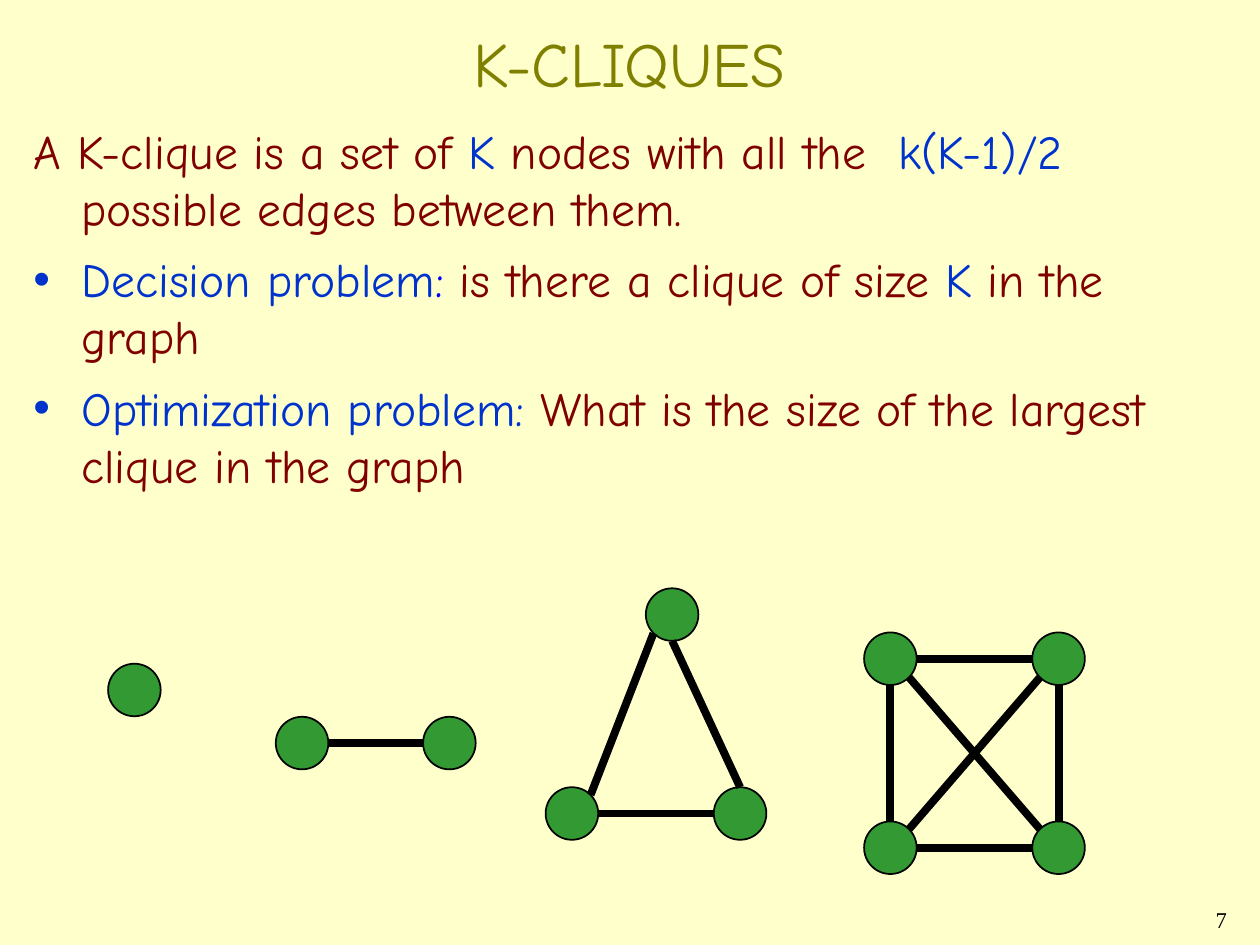
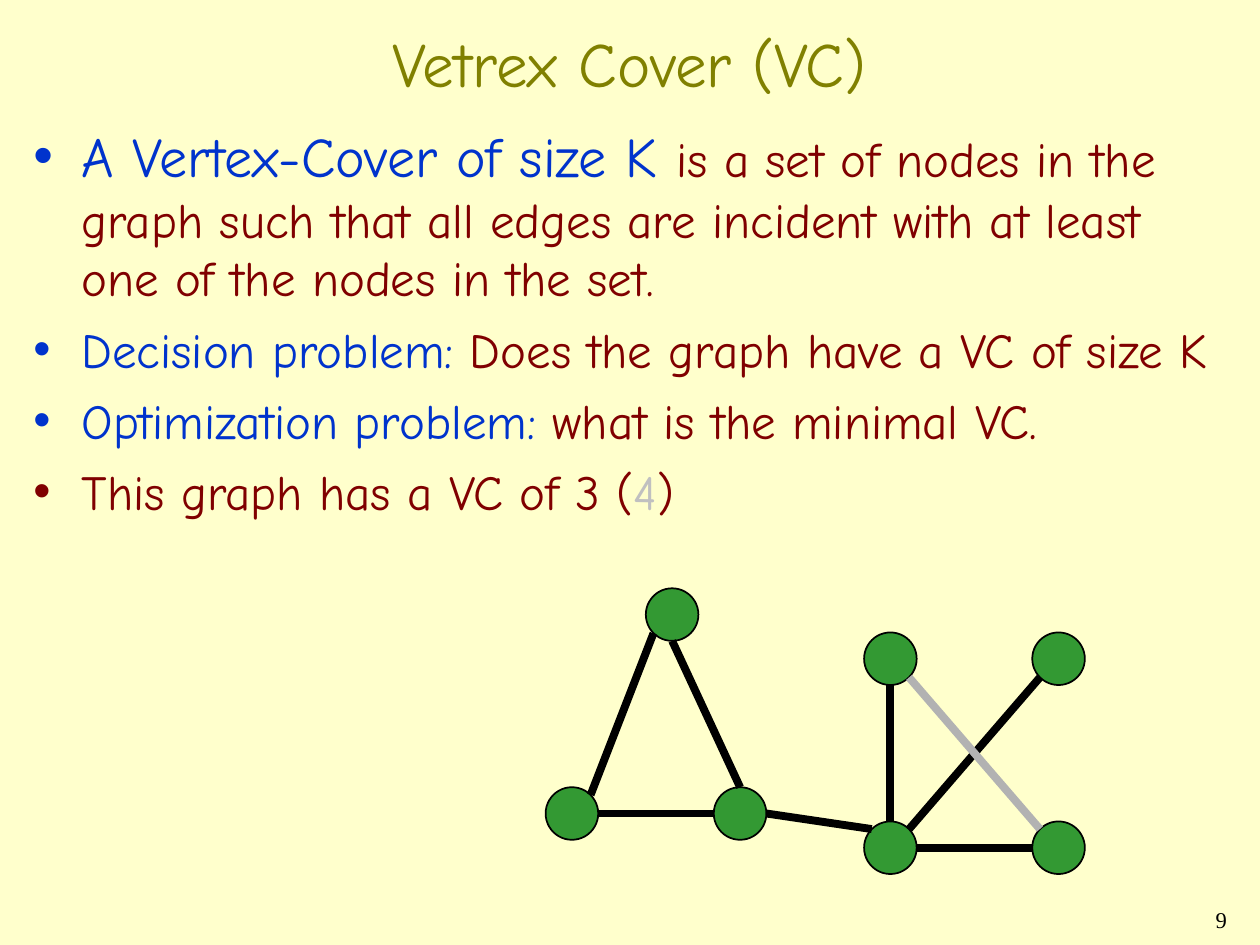
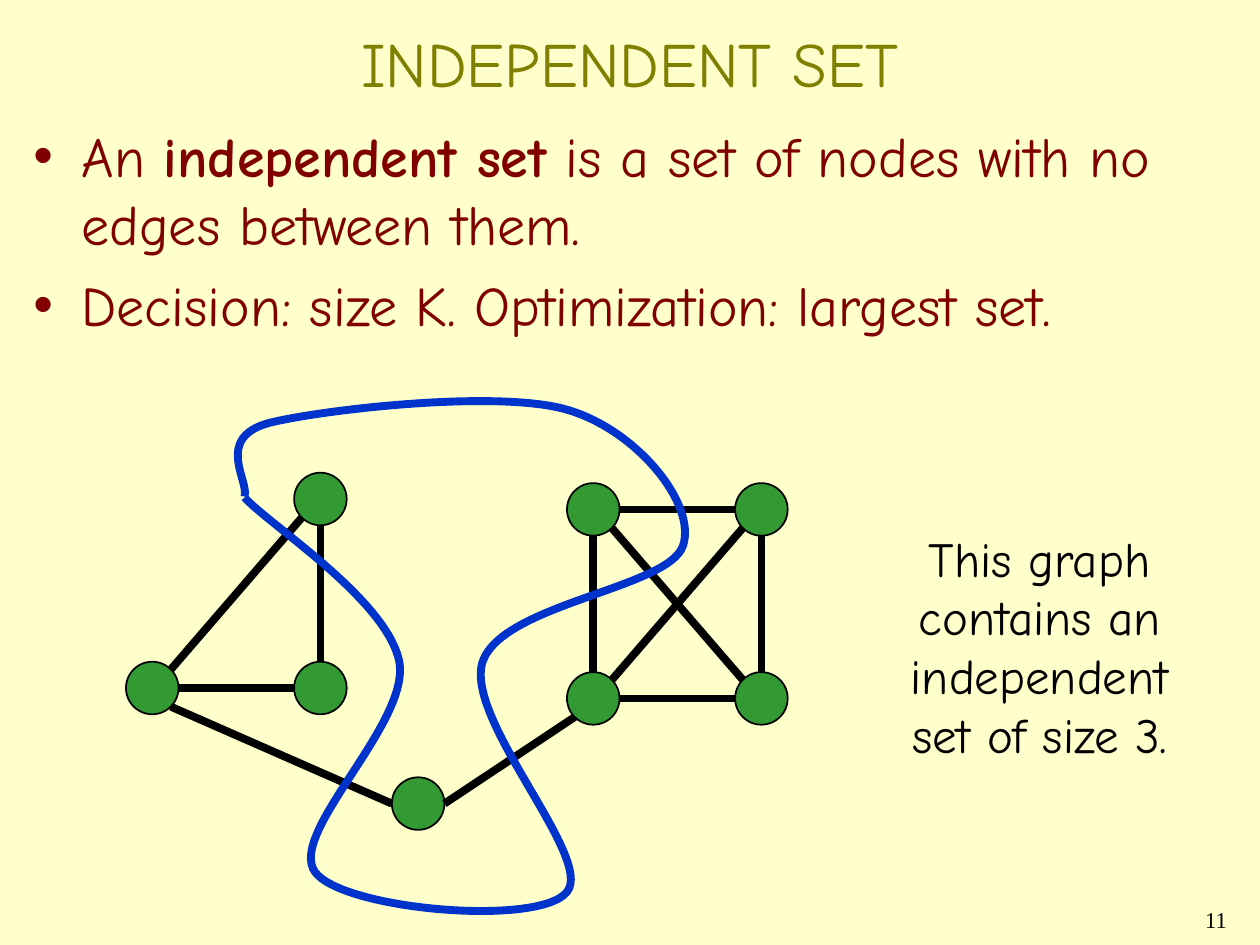
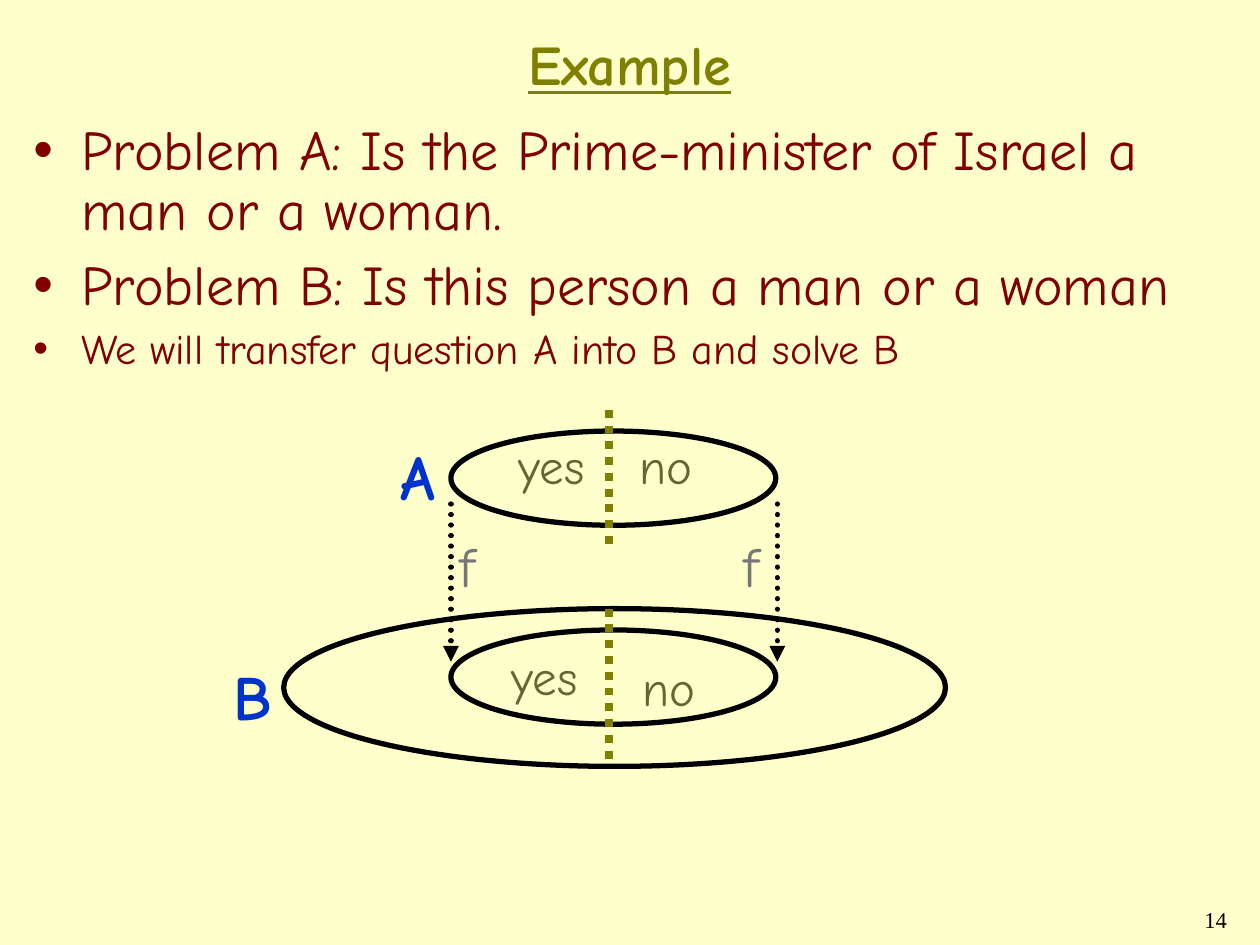
from lxml.etree import SubElement
from pptx import Presentation
from pptx.dml.color import RGBColor
from pptx.enum.dml import MSO_LINE
from pptx.enum.shapes import MSO_CONNECTOR, MSO_SHAPE
from pptx.enum.text import MSO_ANCHOR, MSO_AUTO_SIZE, PP_ALIGN
from pptx.oxml.ns import qn
from pptx.util import Cm, Pt

# Shared style
CREAM = RGBColor(0xFF, 0xFF, 0xCC)
OLIVE = RGBColor(0x80, 0x80, 0x00)
MAROON = RGBColor(0x80, 0x00, 0x00)
BLUE = RGBColor(0x00, 0x33, 0xCC)
PURE_BLUE = RGBColor(0x00, 0x00, 0xFF)
GREEN = RGBColor(0x33, 0x99, 0x33)
BLACK = RGBColor(0x00, 0x00, 0x00)
SILVER = RGBColor(0xC0, 0xC0, 0xC0)
EDGE_GREY = RGBColor(0xB2, 0xB2, 0xB2)
MOSS = RGBColor(0x66, 0x66, 0x33)
GREY = RGBColor(0x77, 0x77, 0x77)
HAND, SERIF = "Comic Neue", "Times New Roman"
RADIUS = 0.53
DIAGONAL = 0.71
COMPASS = {
    "n": (0, -1), "s": (0, 1), "w": (-1, 0), "e": (1, 0),
    "nw": (-DIAGONAL, -DIAGONAL), "ne": (DIAGONAL, -DIAGONAL),
    "sw": (-DIAGONAL, DIAGONAL), "se": (DIAGONAL, DIAGONAL),
}


def write(paragraph, text, size, colour, bold=False, font=HAND):
    run = paragraph.add_run()
    run.text = text
    run.font.name = font
    run.font.size = Pt(size)
    run.font.bold = bold
    run.font.color.rgb = colour
    return run


def draw_line(shapes, start, end, colour=BLACK, width=4.5, dash=None):
    line = shapes.add_connector(MSO_CONNECTOR.STRAIGHT, Cm(start[0]), Cm(start[1]),
                                Cm(end[0]), Cm(end[1]))
    line.line.color.rgb = colour
    line.line.width = Pt(width)
    if dash:
        line.line.dash_style = dash
    SubElement(line.element.spPr, qn("a:effectLst"))
    return line


# Wording: page, title, title size, body height, line spacing, paragraphs
# Paragraph: bullet colour, space before, runs of (text, size, colour, bold)
pages = [
    (7, "K-CLIQUES", 36, 7.62, 1.0, [
        (None, 8, [("A K-clique is a set of ", 27.2, MAROON), ("K", 27.2, BLUE),
                   (" nodes with all the  ", 27.2, MAROON), ("k(K-1)/2 ", 27.2, BLUE),
                   ("possible edges between them.", 27.2, MAROON)]),
        (BLUE, 8, [("Decision problem", 27.2, BLUE), (": ", 27.2, PURE_BLUE),
                   ("is there a clique of size ", 27.2, MAROON), ("K", 27.2, BLUE),
                   (" in the graph", 27.2, MAROON)]),
        (BLUE, 8, [("Optimization problem: ", 27.2, BLUE),
                   ("What is the size of the largest clique in the graph", 27.2, MAROON)]),
    ]),
    (9, "Vetrex Cover (VC)", 36, 13.77, 1.0, [
        (BLUE, 7, [("A Vertex-Cover of size K ", 32, BLUE),
                   ("is a set of nodes in the graph such that all edges are incident "
                    "with at least one of the nodes in the set.", 28, MAROON)]),
        (BLUE, 7, [("Decision problem: ", 28, BLUE),
                   ("Does the graph have a VC of size K", 28, MAROON)]),
        (BLUE, 7, [("Optimization problem: ", 28, BLUE),
                   ("what is the minimal VC.", 28, MAROON)]),
        (MAROON, 7, [("This graph has a VC of 3 (", 28, MAROON), ("4", 28, SILVER),
                     (")", 28, MAROON)]),
    ]),
    (11, "INDEPENDENT SET", 36, 15.24, 1.0, [
        (MAROON, 8, [("An ", 32, MAROON), ("independent set", 32, MAROON, True),
                     (" is a set of nodes with no edges between them.", 32, MAROON)]),
        (MAROON, 8, [("Decision: size K. Optimization: largest set.", 32, MAROON)]),
    ]),
    (14, "Example", 32, 15.24, 0.9, [
        (MAROON, 8, [("Problem A: Is the Prime-minister of Israel a man or a woman.", 32, MAROON)]),
        (MAROON, 8, [("Problem B: Is this person a man or a woman", 32, MAROON)]),
        (MAROON, 6, [("We will transfer question A into B and solve B", 24, MAROON)]),
    ]),
]

deck = Presentation()
deck.slide_width, deck.slide_height = Cm(25.4), Cm(19.05)
backdrop = deck.slide_master.background.fill
backdrop.solid()
backdrop.fore_color.rgb = CREAM

# Page number, title and list of every slide
for page, heading, heading_size, body_height, spacing, paragraphs in pages:
    slide = deck.slides.add_slide(deck.slide_layouts[1])

    number = slide.shapes.add_textbox(Cm(19.69), Cm(18.2), Cm(5.29), Cm(0.85)).text_frame
    number.word_wrap = True
    number.paragraphs[0].alignment = PP_ALIGN.RIGHT
    number.paragraphs[0].line_spacing = 0.9
    write(number.paragraphs[0], str(page), 12.9, BLACK, font=SERIF)

    title, body = slide.shapes.title, slide.placeholders[1]
    for holder, top, height, anchor in ((title, 0.42, 1.69, MSO_ANCHOR.MIDDLE),
                                        (body, 2.33, body_height, MSO_ANCHOR.TOP)):
        holder.left, holder.top = Cm(0.42), Cm(top)
        holder.width, holder.height = Cm(24.55), Cm(height)
        holder.text_frame.auto_size = MSO_AUTO_SIZE.NONE
        holder.text_frame.vertical_anchor = anchor
    title.text_frame.paragraphs[0].alignment = PP_ALIGN.CENTER
    is_example = heading == "Example"
    heading_run = write(title.text_frame.paragraphs[0], heading, heading_size, OLIVE, is_example)
    heading_run.font.underline = is_example

    for index, (bullet_colour, space, runs) in enumerate(paragraphs):
        frame = body.text_frame
        item = frame.add_paragraph() if index else frame.paragraphs[0]
        item.space_before, item.line_spacing = Pt(space), spacing
        properties = item._p.get_or_add_pPr()
        properties.set("marL", str(Cm(0.97)))
        properties.set("indent", str(-Cm(0.97)))
        if bullet_colour:
            tint = SubElement(properties, qn("a:buClr"))
            SubElement(tint, qn("a:srgbClr")).set("val", str(bullet_colour))
            SubElement(properties, qn("a:buChar")).set("char", "•")
        else:
            SubElement(properties, qn("a:buNone"))
        for run in runs:
            write(item, *run)

cliques, cover, independent, example = deck.slides

# Graphs: node centres, and edges as (node, side, node, side)
square = {"tl": (17.95, 13.28), "tr": (21.34, 13.28),
          "bl": (17.95, 17.09), "br": (21.34, 17.09)}
triangle = {"top": (13.55, 12.39), "left": (11.53, 16.4), "right": (14.92, 16.4)}
triangle_edges = [("top", "s", "right", "n"), ("left", "e", "right", "w"),
                  ("top", "sw", "left", "ne")]
falling = ("tl", "se", "br", "nw")
cover_edges = [("tl", "s", "bl", "n"), ("bl", "e", "br", "w"), ("tr", "sw", "bl", "ne")]
square_edges = cover_edges + [("tl", "e", "tr", "w"), ("tr", "s", "br", "n"), falling]

independent_graph = independent.shapes.add_group_shape().shapes
graphs = [
    (cliques.shapes,
     {"single": (2.71, 13.91), "first": (6.09, 14.98), "second": (9.06, 14.98),
      **triangle, **square},
     [("first", "e", "second", "w")] + triangle_edges + square_edges),
    (cover.shapes,
     {**triangle, **square},
     [("right", "e", "bl", "nw")] + triangle_edges + cover_edges + [falling]),
    (independent_graph,
     {"tl": (11.96, 10.27), "tr": (15.35, 10.27), "bl": (11.96, 14.08), "br": (15.35, 14.08),
      "top": (6.46, 10.06), "left": (3.07, 13.87), "right": (6.46, 13.87),
      "low": (8.43, 16.2)},
     square_edges + [("low", "w", "left", "se"), ("top", "s", "right", "n"),
                     ("left", "e", "right", "w"), ("top", "sw", "left", "ne"),
                     ("low", "e", "bl", "sw")]),
]
for shapes, nodes, edges in graphs:
    for x, y in nodes.values():
        node = shapes.add_shape(MSO_SHAPE.OVAL, Cm(x - RADIUS), Cm(y - RADIUS),
                                Cm(2 * RADIUS), Cm(2 * RADIUS))
        node.shadow.inherit = False
        node.fill.solid()
        node.fill.fore_color.rgb = GREEN
        node.line.color.rgb = BLACK
        node.line.width = Pt(1)
    for edge in edges:
        start, end = [
            (nodes[name][0] + RADIUS * COMPASS[side][0], nodes[name][1] + RADIUS * COMPASS[side][1])
            for name, side in (edge[:2], edge[2:])
        ]
        is_optional = shapes is graphs[1][0] and edge == falling
        draw_line(shapes, start, end, EDGE_GREY if is_optional else BLACK)

# Independent set: remark and curved outline
answer = independent.shapes.add_group_shape().shapes
remark = answer.add_textbox(Cm(17.15), Cm(10.52), Cm(7.62), Cm(5)).text_frame
remark.word_wrap = True
remark.auto_size = MSO_AUTO_SIZE.SHAPE_TO_FIT_TEXT
remark.margin_left = remark.margin_right = Cm(0.76)
remark.paragraphs[0].alignment = PP_ALIGN.CENTER
remark.paragraphs[0].space_before = Pt(17.5)
write(remark.paragraphs[0], "This graph contains an independent set of size 3.", 28, BLACK)

curve_points = [
    (4.93, 10.03),
    (5.44, 10.59), (7.8, 12.09), (8.05, 13.34),
    (8.28, 14.58), (5.79, 16.79), (6.35, 17.58),
    (6.91, 18.34), (10.87, 18.69), (11.43, 17.98),
    (11.99, 17.3), (9.35, 14.5), (9.73, 13.34),
    (10.13, 12.17), (13.49, 11.86), (13.77, 11),
    (14.05, 10.16), (12.83, 8.66), (11.43, 8.26),
    (10.03, 7.85), (6.48, 8.26), (5.41, 8.53),
    (4.32, 8.84), (5.03, 9.7), (4.93, 10.01),
]
corners = [(Cm(x), Cm(y)) for x, y in curve_points]
builder = answer.build_freeform(*corners[0])
builder.add_line_segments(corners[1:], close=False)
chosen_set = builder.convert_to_shape()
chosen_set.shadow.inherit = False
chosen_set.fill.background()
chosen_set.line.color.rgb = BLUE
chosen_set.line.width = Pt(4.5)
# Every three segments become one Bézier curve
outline = next(chosen_set.element.iter(qn("a:path")))
segments = outline.findall(qn("a:lnTo"))
for first in range(0, len(segments), 3):
    bezier = SubElement(outline, qn("a:cubicBezTo"))
    for segment in segments[first:first + 3]:
        bezier.append(segment[0])
        outline.remove(segment)

# Example: problem A mapped by f into problem B
for left, top, width, height in ((9.09, 8.69, 6.55, 1.9), (5.72, 12.27, 13.34, 3.18),
                                 (9.09, 12.7, 6.55, 1.9)):
    problem = example.shapes.add_shape(MSO_SHAPE.OVAL, Cm(left), Cm(top), Cm(width), Cm(height))
    problem.shadow.inherit = False
    problem.fill.background()
    problem.line.color.rgb = BLACK
    problem.line.width = Pt(3)

for x in (9.09, 15.67):
    mapping = draw_line(example.shapes, (x, 10.16), (x, 13.34), BLACK, 3, MSO_LINE.ROUND_DOT)
    stroke = mapping.line._get_or_add_ln()
    stroke.set("cap", "rnd")
    SubElement(stroke, qn("a:tailEnd")).set("type", "triangle")

for top, bottom in ((12.27, 15.44), (8.26, 11)):
    draw_line(example.shapes, (12.27, top), (12.27, bottom), OLIVE, 4.5, MSO_LINE.ROUND_DOT)

# Label kinds: width, height, size, space before, colour, bold
label_kinds = {
    "yes": (1.85, 1.45, 28, 7, MOSS, False),
    "no": (1.57, 1.45, 28, 7, MOSS, False),
    "A": (1.19, 1.78, 36, 9, BLUE, True),
    "B": (1.19, 1.78, 36, 9, BLUE, True),
    "f": (0.81, 1.63, 32, 8, GREY, False),
}
for text, left, top in (("yes", 10.21, 8.66), ("yes", 10.06, 12.9), ("no", 12.65, 8.66),
                        ("no", 12.7, 13.13), ("A", 7.82, 8.69), ("B", 4.45, 13.13),
                        ("f", 9.02, 10.59), ("f", 14.73, 10.59)):
    width, height, size, space, colour, bold = label_kinds[text]
    label = example.shapes.add_textbox(Cm(left), Cm(top), Cm(width), Cm(height)).text_frame
    label.word_wrap = bold
    label.auto_size = MSO_AUTO_SIZE.SHAPE_TO_FIT_TEXT
    label.paragraphs[0].space_before = Pt(space)
    write(label.paragraphs[0], text, size, colour, bold)

deck.save("out.pptx")
